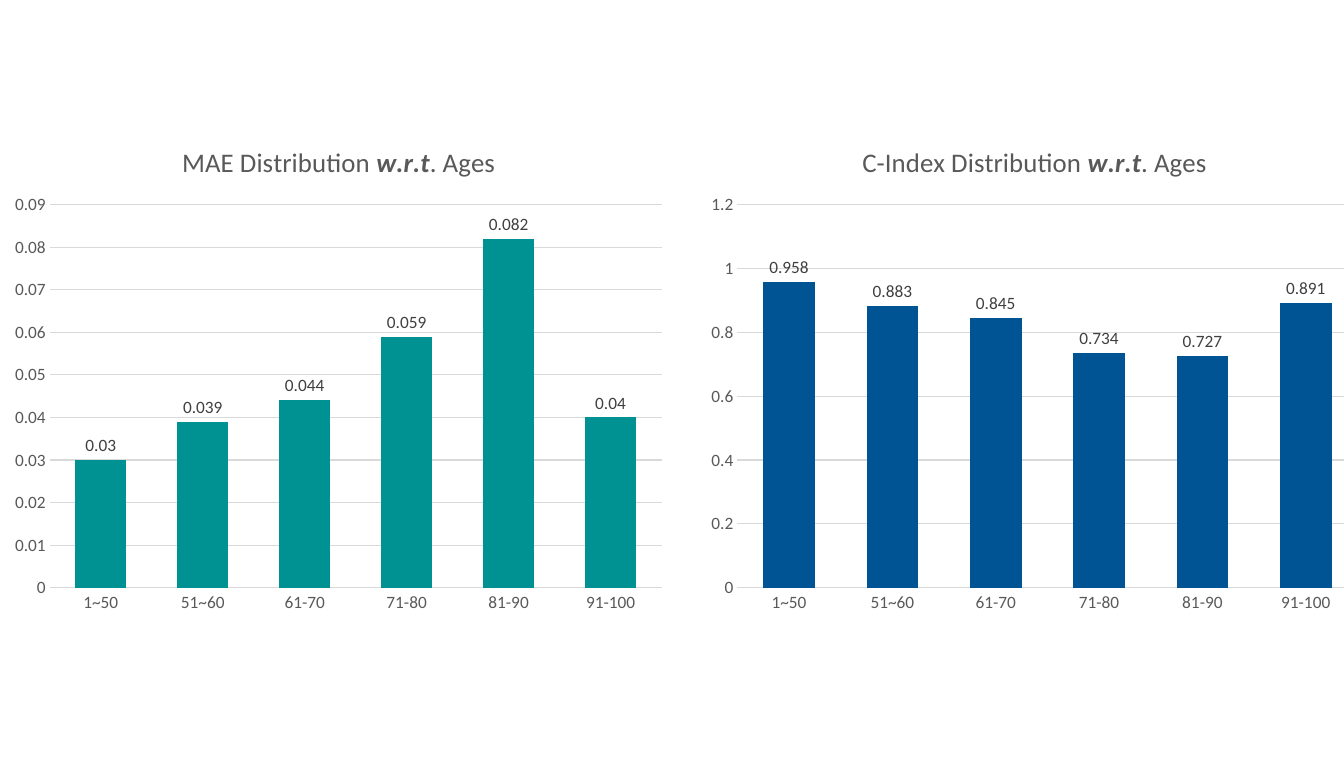
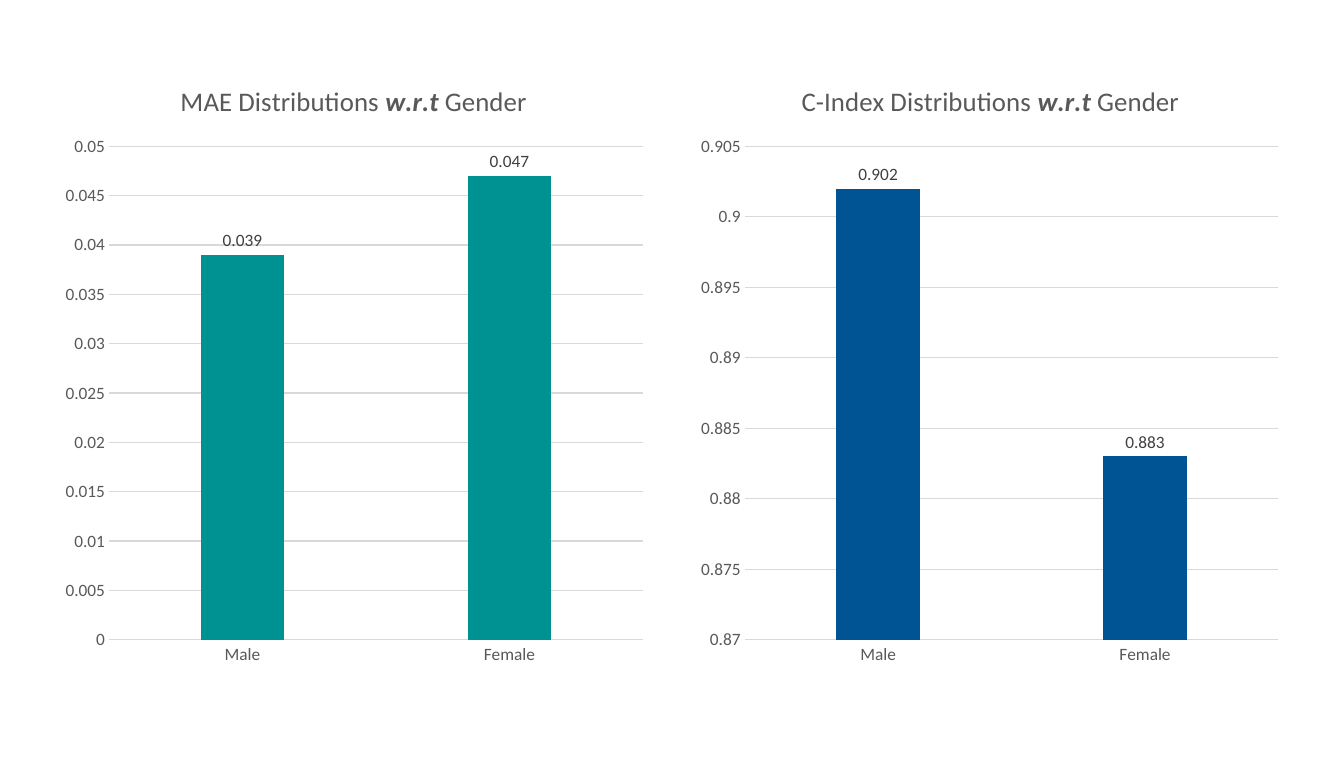
from dataclasses import dataclass

from lxml.etree import SubElement
from pptx import Presentation
from pptx.chart.data import CategoryChartData
from pptx.dml.color import RGBColor
from pptx.enum.chart import XL_CHART_TYPE, XL_LABEL_POSITION, XL_TICK_MARK
from pptx.oxml.ns import qn
from pptx.slide import Slide
from pptx.util import Inches, Pt

# Shared style
TEAL = RGBColor(0x00, 0x91, 0x93)
BLUE = RGBColor(0x00, 0x54, 0x93)
AXIS_TEXT = RGBColor(0x59, 0x59, 0x59)
LABEL_TEXT = RGBColor(0x40, 0x40, 0x40)
GRID = RGBColor(0xD9, 0xD9, 0xD9)
FONT = "Calibri"
TITLE_SIZE, TEXT_SIZE = Pt(18.6), Pt(12)


@dataclass(frozen=True)
class Box:
    """Left, top, width and height in inches."""
    x: float
    y: float
    w: float
    h: float


@dataclass(frozen=True)
class BarChart:
    title: tuple[str, str, str]  # plain, bold italic, plain
    values: tuple[float, ...]
    color: RGBColor
    frame: Box
    plot: Box
    axis: tuple[float, float, float]  # minimum, maximum, step
    overlap: int = -27


@dataclass(frozen=True)
class ChartSlide:
    categories: tuple[str, ...]
    gap: int
    charts: tuple[BarChart, ...]


SLIDES = (
    ChartSlide(("1~50", "51~60", "61-70", "71-80", "81-90", "91-100"), 100, (
        BarChart(("MAE Distribution ", "w.r.t", ". Ages"),
                 (0.03, 0.039, 0.044, 0.059, 0.082, 0.04), TEAL,
                 Box(0.02, 1.21, 6.48, 4.79), Box(0.48, 1.97, 5.89, 3.69),
                 (0, 0.09, 0.01), overlap=-57),
        BarChart(("C-Index Distribution ", "w.r.t", ". Ages"),
                 (0.958, 0.883, 0.845, 0.734, 0.727, 0.891), BLUE,
                 Box(6.72, 1.21, 6.48, 4.79), Box(7.1, 1.97, 5.97, 3.69),
                 (0, 1.2, 0.2)),
    )),
    ChartSlide(("Male", "Female"), 219, (
        BarChart(("MAE Distributions ", "w.r.t", " Gender"),
                 (0.039, 0.047), TEAL,
                 Box(0.51, 0.6, 5.79, 5.93), Box(1.05, 1.41, 5.14, 4.75),
                 (0, 0.05, 0.005)),
        BarChart(("C-Index Distributions ", "w.r.t", " Gender"),
                 (0.902, 0.883), BLUE,
                 Box(6.64, 0.6, 5.79, 5.93), Box(7.17, 1.41, 5.14, 4.75),
                 (0.87, 0.905, 0.005)),
    )),
)


def style_font(font, size: Pt, color: RGBColor) -> None:
    font.name, font.size, font.bold = FONT, size, False
    font.color.rgb = color


def style_line(line) -> None:
    line.color.rgb = GRID
    line.width = Pt(0.75)


def set_title(chart, parts: tuple[str, str, str]) -> None:
    chart.has_title = True
    chart.chart_title.include_in_layout = False
    p = chart.chart_title.text_frame.paragraphs[0]
    for i, part in enumerate(parts):
        r = p.add_run()
        r.text = part
        style_font(r.font, TITLE_SIZE, AXIS_TEXT)
        r.font.bold = r.font.italic = i == 1


def place_plot(chart, frame: Box, plot: Box) -> None:
    """Fix the inner plot area as fractions of the chart frame."""
    area = chart._chartSpace.chart.plotArea
    layout = area.find(qn("c:layout"))
    if layout is None:
        layout = SubElement(area, qn("c:layout"))
        area.insert(0, layout)
    manual = SubElement(layout, qn("c:manualLayout"))
    settings = {
        "layoutTarget": "inner", "xMode": "edge", "yMode": "edge",
        "x": (plot.x - frame.x) / frame.w, "y": (plot.y - frame.y) / frame.h,
        "w": plot.w / frame.w, "h": plot.h / frame.h,
    }
    for tag, value in settings.items():
        SubElement(manual, qn(f"c:{tag}")).set("val", str(value))


def add_bar_chart(s: Slide, spec: BarChart, categories: tuple[str, ...],
                  gap: int) -> None:
    data = CategoryChartData()
    data.categories = categories
    data.add_series("Series 1", spec.values)
    f = spec.frame
    chart = s.shapes.add_chart(
        XL_CHART_TYPE.COLUMN_CLUSTERED, Inches(f.x), Inches(f.y),
        Inches(f.w), Inches(f.h), data).chart
    chart.has_legend = False
    style_font(chart.font, Pt(10), RGBColor(0, 0, 0))
    set_title(chart, spec.title)
    place_plot(chart, f, spec.plot)

    # Axes
    cat, val = chart.category_axis, chart.value_axis
    for axis in (cat, val):
        axis.major_tick_mark = axis.minor_tick_mark = XL_TICK_MARK.NONE
        style_font(axis.tick_labels.font, TEXT_SIZE, AXIS_TEXT)
    style_line(cat.format.line)
    val.format.line.fill.background()
    val.has_major_gridlines = True
    style_line(val.major_gridlines.format.line)
    val.minimum_scale, val.maximum_scale, val.major_unit = spec.axis

    # Bars and value labels
    bars = chart.plots[0]
    bars.vary_by_categories = False
    bars.gap_width, bars.overlap = gap, spec.overlap
    series = bars.series[0]
    series.format.fill.solid()
    series.format.fill.fore_color.rgb = spec.color
    labels = series.data_labels
    labels.show_value = True
    labels.position = XL_LABEL_POSITION.OUTSIDE_END
    style_font(labels.font, TEXT_SIZE, LABEL_TEXT)


def main() -> None:
    prs = Presentation()
    prs.slide_width, prs.slide_height = Inches(12.94), Inches(7.5)
    for page in SLIDES:
        s = prs.slides.add_slide(prs.slide_layouts[6])
        for spec in page.charts:
            add_bar_chart(s, spec, page.categories, page.gap)
    prs.save("out.pptx")


if __name__ == "__main__":
    main()
